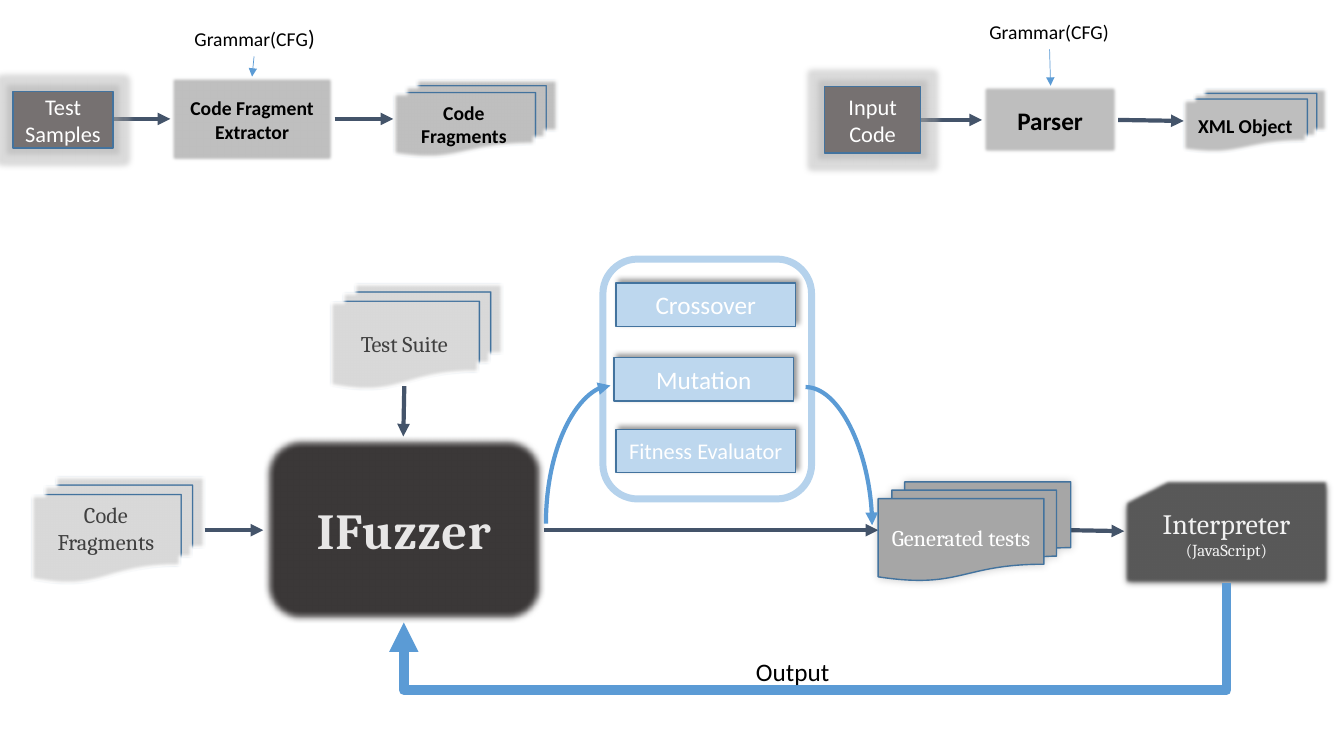
from dataclasses import dataclass

import pptx
import pptx.util
import pptx.dml.color
import pptx.enum.shapes
import pptx.enum.text
import pptx.oxml
import pptx.oxml.ns
from lxml import etree

Inches = pptx.util.Inches
Pt = pptx.util.Pt
Shape = pptx.enum.shapes.MSO_SHAPE
Connector = pptx.enum.shapes.MSO_CONNECTOR
Align = pptx.enum.text.PP_ALIGN
qn = pptx.oxml.ns.qn


@dataclass(frozen=True)
class Theme:
    sans: str = "Calibri"
    serif: str = "Cambria"
    black: str = "000000"
    white: str = "FFFFFF"
    outline: str = "43739E"
    flow: str = "44546A"
    blue: str = "5B9BD5"
    pale_blue: str = "BDD7EE"
    frame: str = "B5D2EC"
    source: str = "767171"
    process: str = "BFBFBF"
    document: str = "D9D9D9"
    document_text: str = "404040"
    tests: str = "A6A6A6"
    engine: str = "3B3838"
    engine_text: str = "E7E6E6"
    interpreter: str = "595959"
    interpreter_text: str = "F2F2F2"
    halo: str = "A5A5A5"
    hero: int = 36
    title: int = 20
    large: int = 18
    body: int = 16
    label: int = 14
    note: int = 12


def rgb(value):
    return pptx.dml.color.RGBColor.from_string(value)


class Diagram:
    def __init__(self, page, theme):
        self.page = page
        self.theme = theme

    def effect(self, shape, tag, color=None, alpha=100, **settings):
        """Add one effect; call in the order glow, outerShdw, softEdge."""
        effects = shape._element.spPr.find(qn("a:effectLst"))
        node = etree.SubElement(effects, qn("a:" + tag))
        for name, value in settings.items():
            node.set(name, str(int(value)))
        if color:
            tint = etree.SubElement(node, qn("a:srgbClr"), val=color)
            etree.SubElement(tint, qn("a:alpha"), val=str(alpha * 1000))

    def fill_text(self, frame, lines, font, color, bold=False, align=Align.CENTER):
        """Set one paragraph for each (text, size) pair."""
        frame.word_wrap = True
        for index, (text, size) in enumerate(lines):
            para = frame.paragraphs[0] if index == 0 else frame.add_paragraph()
            para.text = text
            para.alignment = align
            para.font.name = font
            para.font.size = Pt(size)
            para.font.bold = bold
            para.font.color.rgb = rgb(color)

    def box(self, kind, place, fill, lines=(), font=None, color=None, bold=False,
            line=Theme.outline, width=1, soft=0, glow=0, shadow=None, bottom=0.05):
        shape = self.page.shapes.add_shape(kind, *map(Inches, place))
        shape.shadow.inherit = False
        if fill:
            shape.fill.solid()
            shape.fill.fore_color.rgb = rgb(fill)
        else:
            shape.fill.background()
        if line:
            shape.line.color.rgb = rgb(line)
            shape.line.width = Pt(width)
        else:
            shape.line.fill.background()
        if glow:
            self.effect(shape, "glow", self.theme.halo, 40, rad=Pt(glow))
        if shadow:
            alpha, blur, distance, angle = shadow
            self.effect(shape, "outerShdw", self.theme.black, alpha,
                        blurRad=Pt(blur), dist=Pt(distance), dir=angle * 60000)
        if soft:
            self.effect(shape, "softEdge", rad=Pt(soft))
        frame = shape.text_frame
        frame.vertical_anchor = pptx.enum.text.MSO_ANCHOR.MIDDLE
        frame.margin_bottom = Inches(bottom)
        self.fill_text(frame, lines, font or self.theme.sans, color, bold)
        return shape

    def label(self, place, text, size, align=Align.CENTER):
        box = self.page.shapes.add_textbox(*map(Inches, place))
        self.fill_text(box.text_frame, [(text, size)], self.theme.sans,
                       self.theme.black, align=align)
        return box

    def arrow(self, start, end, color=Theme.flow, width=3, kind=Connector.STRAIGHT,
              preset=None, turn=0, adjust=None):
        """Draw an arrow; start and end are given before any turn."""
        line = self.page.shapes.add_connector(kind, *map(Inches, start + end))
        line.line.color.rgb = rgb(color)
        line.line.width = Pt(width)
        etree.SubElement(line.get_or_add_ln(), qn("a:tailEnd"), type="triangle")
        properties = line._element.spPr
        etree.SubElement(properties, qn("a:effectLst"))
        geometry = properties.find(qn("a:prstGeom"))
        if preset:
            geometry.set("prst", preset)
        if turn:
            properties.find(qn("a:xfrm")).set("rot", str(turn * 60000))
        if adjust:
            guides = geometry.find(qn("a:avLst"))
            etree.SubElement(guides, qn("a:gd"), name="adj1", fmla=f"val {adjust}")


theme = Theme()
deck = pptx.Presentation()
deck.slide_width, deck.slide_height = Inches(13.33), Inches(7.5)
diagram = Diagram(deck.slides.add_slide(deck.slide_layouts[6]), theme)
documents = Shape.FLOWCHART_MULTIDOCUMENT

# Straight flow arrows
for start, end in [
    ((1.12, 1.18), (1.69, 1.18)), ((3.32, 1.18), (3.9, 1.18)),
    ((9.13, 1.19), (9.74, 1.19)), ((11.09, 1.19), (11.74, 1.2)),
    ((2.03, 5.26), (2.61, 5.26)), ((5.4, 5.26), (8.71, 5.26)),
    ((10.62, 5.26), (11.15, 5.27)), ((4.01, 3.83), (4, 4.33)),
]:
    diagram.arrow(start, end)

# Preparation rows: code fragments on the left, parsing on the right
for place, text in [((0.13, 0.91, 0.99, 0.56), "Test Samples"),
                    ((8.18, 0.86, 0.95, 0.66), "Input Code")]:
    diagram.box(Shape.RECTANGLE, place, theme.source, [(text, theme.body)],
                color=theme.white, glow=8)
for kind, place, text, size in [
    (Shape.RECTANGLE, (1.69, 0.76, 1.62, 0.85), "Code Fragment Extractor", theme.label),
    (documents, (3.9, 0.79, 1.63, 0.78), "Code Fragments", theme.label),
    (Shape.RECTANGLE, (9.74, 0.85, 1.35, 0.68), "Parser", theme.large),
    (documents, (11.74, 0.88, 1.42, 0.64), "XML Object", theme.label),
]:
    diagram.box(kind, place, theme.process, [(text, size)],
                color=theme.black, bold=True, soft=2.5)

# Grammar inputs
grammar = diagram.label((1.7, 0.19, 1.65, 0.37), "Grammar(CFG", theme.label)
bracket = grammar.text_frame.paragraphs[0].add_run()
bracket.text = ")"
bracket.font.size = Pt(theme.body)
diagram.label((9.66, 0.15, 1.49, 0.34), "Grammar(CFG)", theme.label)
diagram.arrow((2.52, 0.56), (2.5, 0.76), theme.blue, 0.5)
diagram.arrow((10.41, 0.49), (10.42, 0.85), theme.blue, 0.5)

# Fuzzer and its inputs
for place, text, bottom in [((0.31, 4.73, 1.72, 1.06), "Code Fragments", 0.23),
                            ((3.27, 2.81, 1.72, 1.06), "Test Suite", 0.05)]:
    diagram.box(documents, place, theme.document, [(text, theme.body)],
                theme.serif, theme.document_text, soft=2.5, bottom=bottom)
fuzzer = diagram.box(Shape.ROUNDED_RECTANGLE, (2.61, 4.33, 2.79, 1.85), theme.engine,
                     [("IFuzzer", theme.hero)], theme.serif, theme.engine_text,
                     bold=True, soft=5)
span = fuzzer.text_frame.paragraphs[0].runs[0]
span._r.get_or_add_rPr().set("spc", "50")

# Generated tests and interpreter
diagram.box(documents, (8.71, 4.78, 1.91, 0.98), theme.tests,
            [("Generated tests", theme.body)], theme.serif, theme.white,
            shadow=(20, 6, 0, 315))
diagram.box(Shape.FLOWCHART_CARD, (11.15, 4.76, 2.03, 1.03), theme.interpreter,
            [("Interpreter", theme.title), ("(JavaScript)", theme.note)],
            theme.serif, theme.interpreter_text, line=None, soft=2.5,
            shadow=(63, 4.5, 1.5, 90), bottom=0.23)

# Output loop back to the fuzzer
diagram.arrow((7.89, 1.9), (8.28, 10.06), theme.blue, 7, Connector.ELBOW,
              turn=90, adjust=272200)
diagram.label((7.4, 6.46, 1.1, 0.4), "Output", theme.large, Align.LEFT)

# Genetic operators
for left, top, text, size in [(6.11, 2.81, "Crossover", theme.large),
                              (6.09, 3.55, "Mutation", theme.large),
                              (6.11, 4.26, "Fitness Evaluator", theme.body)]:
    diagram.box(Shape.RECTANGLE, (left, top, 1.78, 0.43), theme.pale_blue,
                [(text, size)], color=theme.white, shadow=(40, 4, 3, 315))
diagram.box(Shape.ROUNDED_RECTANGLE, (5.98, 2.57, 2.07, 2.38), None,
            line=theme.frame, width=5)
for start, end, turn in [((7.99, 3.84), (8.65, 5.21), 0),
                         ((6.42, 4.83), (5.05, 4.19), 90)]:
    diagram.arrow(start, end, theme.blue, 3, Connector.CURVE, "curvedConnector2", turn)

deck.save("out.pptx")
